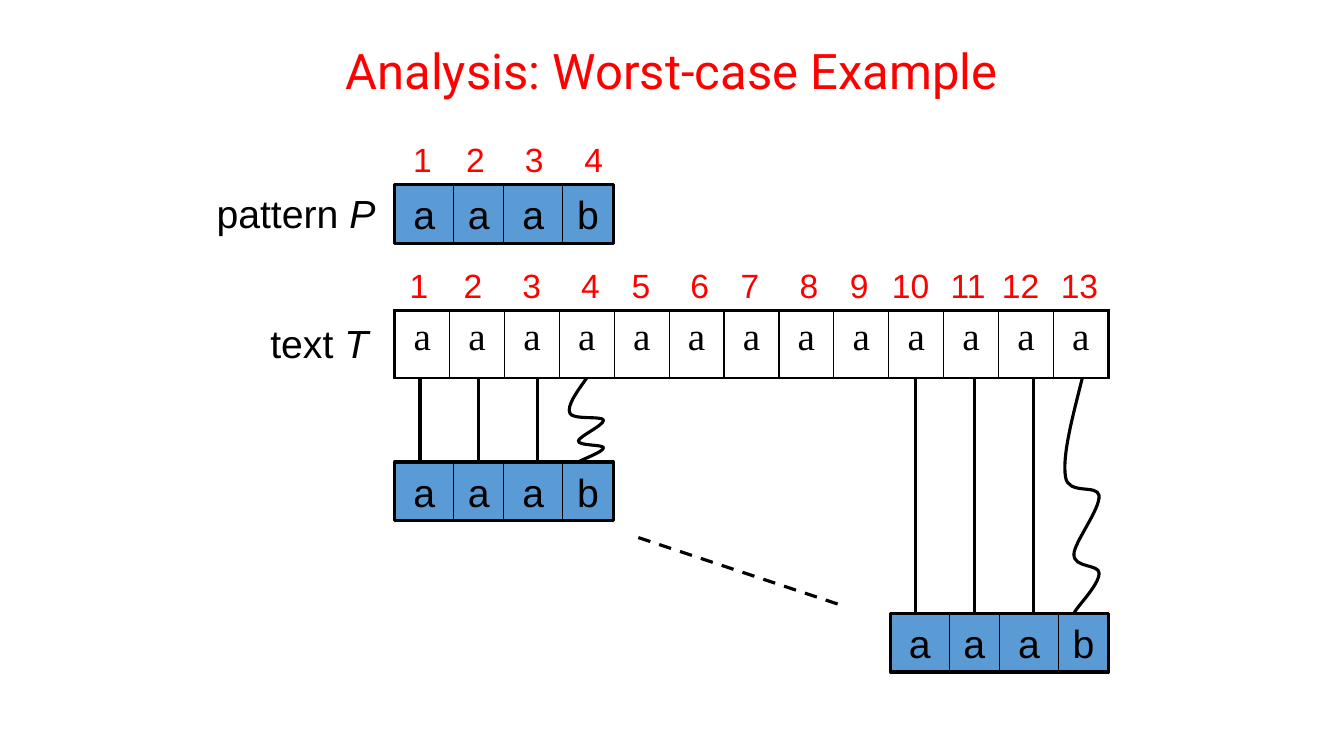
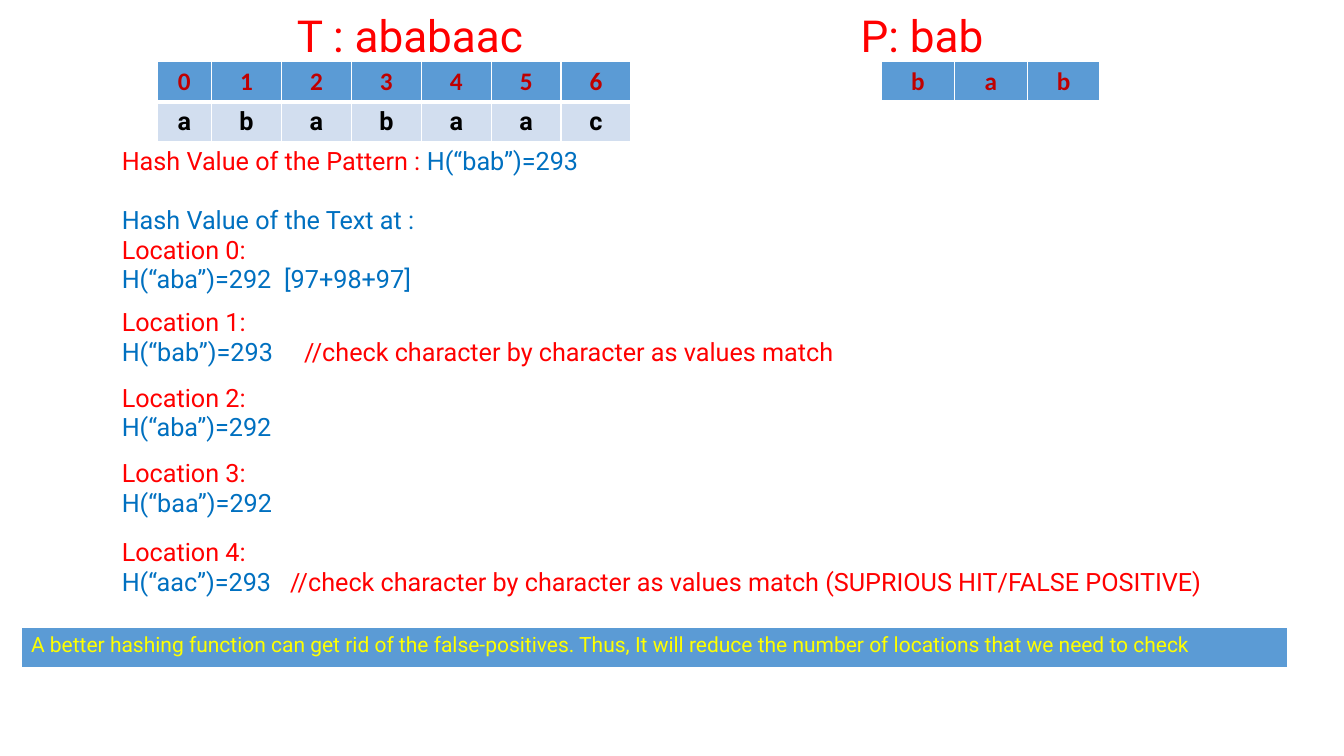
from itertools import accumulate

from lxml import etree
from pptx import Presentation
from pptx import oxml
from pptx import util as u
from pptx.dml.color import RGBColor
from pptx.enum import dml, shapes, text
from pptx.oxml import ns

COLORS = {
    "red": "FF0000",
    "dark red": "C00000",
    "blue": "0070C0",
    "fill": "5B9BD5",
    "pale": "D2DEEF",
    "yellow": "FFFF00",
    "black": "000000",
    "white": "FFFFFF",
}
COLUMNS, ROWS = 160, 90
UNIT = u.Inches(1) // 12
CENTER = text.PP_ALIGN.CENTER
MIDDLE = text.MSO_ANCHOR.MIDDLE
HEAVY, THIN = 2.25, 0.75
ROBOTO_LINE = 1.18
TEXT_BOTTOM = 45
CELL_WIDTHS = [7, 6, 7, 6]
STRIP_HEIGHT = 7
WAVE = [
    (0, 0), (-1.2, 0.17), (-2.4, 0.33), (-2, 0.42),
    (-1.7, 0.5), (1.8, 0.45), (2, 0.5),
    (2.1, 0.56), (-1, 0.7), (-1, 0.75),
    (-1, 0.81), (2, 0.79), (2, 0.83),
    (2, 0.88), (-0.6, 0.97), (-1, 1),
]


def grid(*lengths):
    return [u.Emu(round(length * UNIT)) for length in lengths]


def rgb(name):
    return RGBColor.from_string(COLORS[name])


def write(para, content, face, size, color=None, align=None, bold=None):
    para.text = content
    para.alignment = align
    font = para.font
    font.name, font.size, font.bold = face, u.Pt(size), bold
    if color:
        font.color.rgb = rgb(color)


def add_span(para, content, color=None, italic=None):
    span = para.add_run()
    span.text = content
    span.font.italic = italic
    if color:
        span.font.color.rgb = rgb(color)


def add_tab_stops(para, align, *positions):
    stops = etree.SubElement(para._p.get_or_add_pPr(), ns.qn("a:tabLst"))
    for inches in positions:
        etree.SubElement(stops, ns.qn("a:tab"),
                         pos=str(u.Inches(inches)), algn=align)


def add_text(page, left, top, width, height):
    box = page.shapes.add_textbox(*grid(left, top, width, height))
    frame = box.text_frame
    frame.word_wrap = False
    frame.auto_size = text.MSO_AUTO_SIZE.SHAPE_TO_FIT_TEXT
    return frame


def add_title(page, content, left, top, width, height, size, centers=()):
    box = page.shapes.add_textbox(*grid(left, top, width, height))
    frame = box.text_frame
    frame.word_wrap = True
    frame.vertical_anchor = MIDDLE
    para = frame.paragraphs[0]
    if centers:
        add_tab_stops(para, "ctr", *centers)
    write(para, content, "Roboto", size, "red", None if centers else CENTER)
    para.line_spacing = 0.9


def add_label(page, content, symbol, left, top, width):
    para = add_text(page, left, top, width, 6.8).paragraphs[0]
    write(para, "", "Arial", 28, "black")
    add_span(para, content)
    add_span(para, symbol, italic=True)


def add_numbers(page, lefts, top):
    for number, left in enumerate(lefts, 1):
        width = 4.7 if number < 10 else 6.9
        para = add_text(page, left, top, width, 6).paragraphs[0]
        write(para, str(number), "Arial", 24, "red")


def add_box(page, left, top, width, weight, fill=None):
    box = page.shapes.add_shape(
        shapes.MSO_SHAPE.RECTANGLE, *grid(left, top, width, STRIP_HEIGHT))
    box.shadow.inherit = False
    if fill:
        box.fill.solid()
        box.fill.fore_color.rgb = rgb(fill)
    else:
        box.fill.background()
    box.line.color.rgb = rgb("black")
    box.line.width = u.Pt(weight)
    return box


def add_strip(page, left, top):
    boxes = []
    offsets = accumulate(CELL_WIDTHS, initial=0)
    for letter, offset, width in zip("aaab", offsets, CELL_WIDTHS):
        box = add_box(page, left + offset, top, width, THIN, "fill")
        frame = box.text_frame
        frame.word_wrap = False
        frame.vertical_anchor = MIDDLE
        write(frame.paragraphs[0], letter, "Arial", 28, "black", CENTER)
        boxes.append(box)
    add_box(page, left, top, sum(CELL_WIDTHS), HEAVY)
    return boxes


def add_line(page, x1, y1, x2, y2):
    line = page.shapes.add_connector(
        shapes.MSO_CONNECTOR.STRAIGHT, *grid(x1, y1, x2, y2))
    line.line.color.rgb = rgb("black")
    line.line.width = u.Pt(HEAVY)
    etree.SubElement(line._element.spPr, ns.qn("a:effectLst"))
    return line


def round_corners(shape):
    segments = list(shape._element.iter(ns.qn("a:lnTo")))
    for start in range(0, len(segments), 3):
        curve = segments[start]
        curve.tag = ns.qn("a:cubicBezTo")
        for segment in segments[start + 1:start + 3]:
            curve.append(segment[0])
            segment.getparent().remove(segment)


def add_wave(page, left, top, height):
    start, *points = [grid(left + x, top + y * height) for x, y in WAVE]
    builder = page.shapes.build_freeform(*start)
    builder.add_line_segments(points, close=False)
    wave = builder.convert_to_shape()
    round_corners(wave)
    wave.shadow.inherit = False
    wave.fill.background()
    wave.line.color.rgb = rgb("black")
    wave.line.width = u.Pt(HEAVY)


def add_match(page, left, top):
    boxes = add_strip(page, left, top)
    for box, offset in zip(boxes, (3, 10, 17)):
        x = left + offset
        line = add_line(page, x, TEXT_BOTTOM, x, top)
        if box.left + box.width // 2 == line.end_x:
            line.end_connect(box, 0)
    add_wave(page, left + 22.85, TEXT_BOTTOM, top - TEXT_BOTTOM)


def add_table(page, left, top, widths, heights):
    frame = page.shapes.add_table(
        len(heights), len(widths),
        *grid(left, top, sum(widths), sum(heights)))
    table = frame.table
    table.first_row = table.horz_banding = False
    for column, width in zip(table.columns, grid(*widths)):
        column.width = width
    for row, height in zip(table.rows, grid(*heights)):
        row.height = height
    return table


def style_cell(cell, fill, border, weights):
    if fill:
        cell.fill.solid()
        cell.fill.fore_color.rgb = rgb(fill)
    else:
        cell.fill.background()
    properties = cell._tc.get_or_add_tcPr()
    for index, (side, weight) in enumerate(zip("LRTB", weights)):
        properties.insert(index, oxml.parse_xml(
            f'<a:ln{side} {ns.nsdecls("a")} w="{u.Pt(weight)}"><a:solidFill>'
            f'<a:srgbClr val="{COLORS[border]}"/></a:solidFill></a:ln{side}>'))


def style_light(cell, fill, bottom=3):
    style_cell(cell, fill, "white", (1, 1, 1, bottom))


def add_letters(page, left, widths, header, letters=""):
    rows = [row for row in (header, letters) if row]
    table = add_table(page, left, 7.3, widths, [4.85] * len(rows))
    styles = [("fill", "Calibri", "dark red", 3), ("pale", "Roboto", "black", 1)]
    for index, (row, style) in enumerate(zip(rows, styles)):
        fill, face, color, bottom = style
        for column, letter in enumerate(row):
            cell = table.cell(index, column)
            style_light(cell, fill, bottom)
            write(cell.text_frame.paragraphs[0], letter, face, 18, color,
                  CENTER, True)


def add_hashes(page):
    cell = add_table(page, 13.3, 16.9, [134.4], [56]).cell(0, 0)
    style_light(cell, "white")
    frame = cell.text_frame
    first = frame.paragraphs[0]
    write(first, "", "Roboto", 18)
    add_span(first, "Hash Value of the Pattern : ", "red")
    add_span(first, "H(“bab”)=293", "blue")

    heading = frame.add_paragraph()
    write(heading, "Hash Value of the Text at :", "Roboto", 18, "blue")
    heading.space_before = u.Pt(18 * ROBOTO_LINE)

    check = "//check character by character as values match"
    locations = [
        (0, "aba", 292, 1.61, "[97+98+97]", "blue"),
        (8, "bab", 293, 1.81, check, "red"),
        (10, "aba", 292, None, "", None),
        (10, "baa", 292, None, "", None),
        (12, "aac", 293, 1.67,
         check + " (SUPRIOUS HIT/FALSE POSITIVE)", "red"),
    ]
    for index, location in enumerate(locations):
        gap, letters, value, stop, note, color = location
        place = frame.add_paragraph()
        write(place, f"Location {index}:", "Roboto", 18, "red")
        place.space_before = u.Pt(gap * ROBOTO_LINE)
        result = frame.add_paragraph()
        if note:
            add_tab_stops(result, "l", stop)
        write(result, "", "Roboto", 18)
        add_span(result, f"H(“{letters}”)={value}", "blue")
        if note:
            add_span(result, "\t" + note, color)


def add_banner(page, content):
    cell = add_table(page, 2.5, 74.75, [150.75], [4.9]).cell(0, 0)
    style_light(cell, "fill")
    write(cell.text_frame.paragraphs[0], content, "Roboto", 15, "yellow")


def add_text_row(page, letters):
    count = len(letters)
    table = add_table(page, 47, 37, [85 / count] * count, [8])
    for index, letter in enumerate(letters):
        cell = table.cell(0, index)
        left = HEAVY if index == 0 else 1
        right = HEAVY if index == count - 1 else 1
        style_cell(cell, None, "black", (left, right, HEAVY, HEAVY))
        write(cell.text_frame.paragraphs[0], letter, "Times New Roman", 28,
              "black", CENTER)


def build_worst_case(page):
    add_title(page, "Analysis: Worst-case Example", 26, 3, 108, 11.6, 35)
    add_label(page, "pattern ", "P", 24.6, 22, 21.4)
    add_label(page, "text ", "T", 31, 37.4, 14.1)
    add_numbers(page, [48, 54.3, 61.3, 68.4], 16)
    add_numbers(page, [47.6, 54, 61, 68, 74, 81, 87, 94, 100,
                       105, 112, 118.1, 125.1], 31)
    add_strip(page, 47, 22)
    add_text_row(page, "a" * 13)
    add_match(page, 47, 55)
    add_match(page, 106, 73)
    skipped = add_line(page, 76, 64, 100, 72)
    skipped.line.dash_style = dml.MSO_LINE.DASH


def build_hashing(page):
    add_title(page, "\tT : ababaac\tP: bab", 7.9, 1.7, 138, 5.6, 31.5,
              centers=(3.31, 8.39))
    add_letters(page, 18.7, [6.5] + [8.32] * 6, "0123456", "ababaac")
    add_letters(page, 104.95, [26 / 3] * 3, "bab")
    add_hashes(page)
    add_banner(page, "A better hashing function can get rid of the "
                     "false-positives. Thus, It will reduce the number of "
                     "locations that we need to check")


def main():
    deck = Presentation()
    deck.slide_width, deck.slide_height = grid(COLUMNS, ROWS)
    for build in (build_worst_case, build_hashing):
        build(deck.slides.add_slide(deck.slide_layouts[6]))
    deck.save("out.pptx")


if __name__ == "__main__":
    main()
